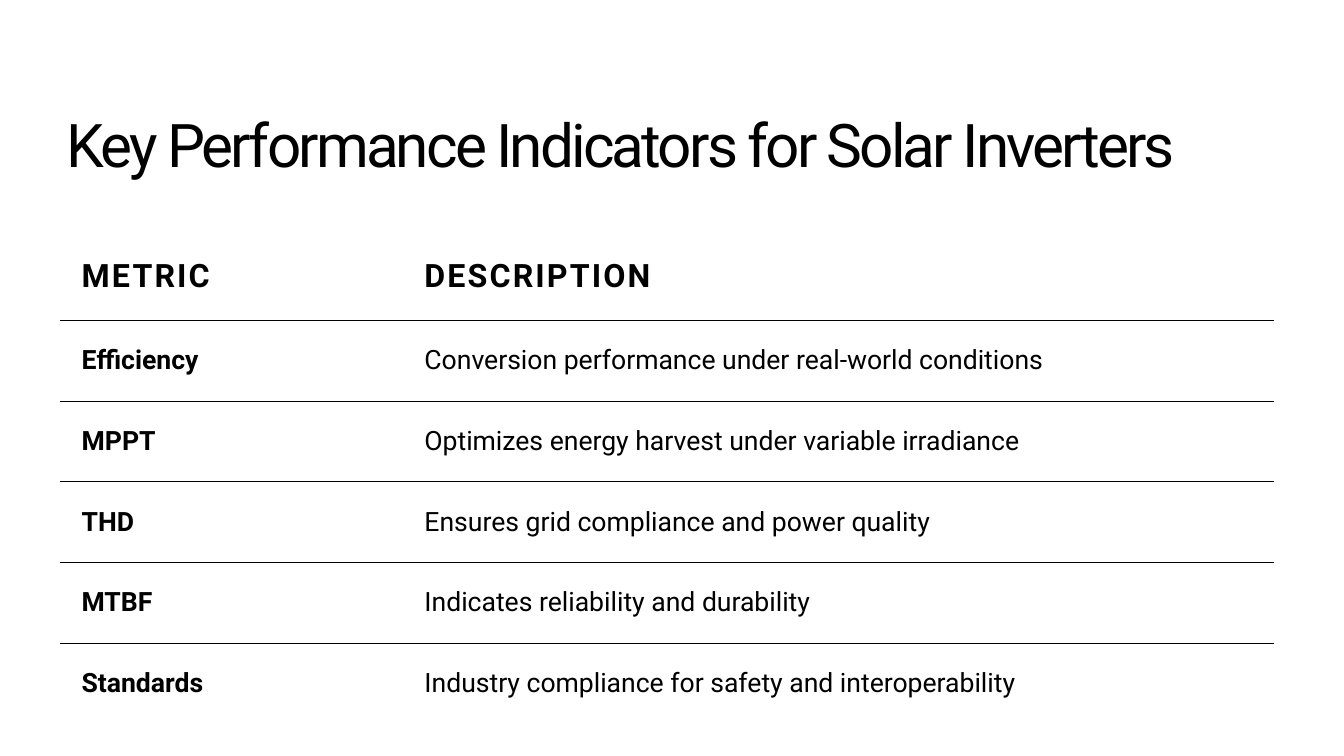
"""Build a slide with a table of key performance indicators for solar inverters."""
from lxml import etree
from pptx import Presentation
from pptx.dml.color import RGBColor
from pptx.enum import text
from pptx.oxml import ns
from pptx.util import Inches, Pt

BLACK = RGBColor(0, 0, 0)
WHITE = RGBColor(255, 255, 255)
FONT = "Roboto"
NO_GRID_STYLE = "{2D5ABB26-0587-4C30-8999-92F81FD0307C}"
CELL_MARGIN = Inches(0.22)
COLUMN_WIDTHS = (3.4, 8.65)
HEADER_HEIGHT = 0.87
ROW_HEIGHT = 0.8
ROWS = (
    ("METRIC", "DESCRIPTION"),
    ("Efficiency", "Conversion performance under real-world conditions"),
    ("MPPT", "Optimizes energy harvest under variable irradiance"),
    ("THD", "Ensures grid compliance and power quality"),
    ("MTBF", "Indicates reliability and durability"),
    ("Standards", "Industry compliance for safety and interoperability"),
)


def format_text(text_frame, size, bold=False, spacing=0):
    """Format every run, with letter spacing in points."""
    for paragraph in text_frame.paragraphs:
        paragraph.alignment = text.PP_ALIGN.LEFT
        for run in paragraph.runs:
            run.font.name = FONT
            run.font.size = Pt(size)
            run.font.bold = bold
            run.font.color.rgb = BLACK
            run._r.get_or_add_rPr().set("spc", str(int(spacing * 100)))


def add_bottom_border(cell):
    """Draw a thin black rule under a cell."""
    border = etree.Element(ns.qn("a:lnB"), w=str(Pt(0.5)))
    fill = etree.SubElement(border, ns.qn("a:solidFill"))
    etree.SubElement(fill, ns.qn("a:srgbClr"), val=str(BLACK))
    cell._tc.get_or_add_tcPr().insert(0, border)


def set_title(slide, title_text):
    """Place and format the title placeholder."""
    title = slide.shapes.title
    title.left, title.top = Inches(0.56), Inches(1.11)
    title.width, title.height = Inches(12.15), Inches(0.93)
    frame = title.text_frame
    frame.text = title_text
    frame.word_wrap = True
    frame.auto_size = text.MSO_AUTO_SIZE.NONE
    frame.vertical_anchor = text.MSO_ANCHOR.TOP
    frame.margin_top = Inches(0.09)
    frame.paragraphs[0].line_spacing = 0.8
    format_text(frame, 43, spacing=-2)


def fill_cell(cell, content, is_header, bold):
    """Write one table cell."""
    cell.fill.background()
    cell.vertical_anchor = text.MSO_ANCHOR.MIDDLE
    cell.margin_left = cell.margin_right = CELL_MARGIN
    cell.margin_top = cell.margin_bottom = CELL_MARGIN
    cell.text_frame.text = content
    if is_header:
        format_text(cell.text_frame, 23, bold=True, spacing=1.5)
    else:
        format_text(cell.text_frame, 19, bold=bold)


def add_metric_table(slide):
    """Add the metrics table with rules between its rows."""
    height = HEADER_HEIGHT + ROW_HEIGHT * (len(ROWS) - 1)
    frame = slide.shapes.add_table(
        len(ROWS), len(COLUMN_WIDTHS), Inches(0.59), Inches(2.31),
        Inches(sum(COLUMN_WIDTHS)), Inches(height))
    table = frame.table
    table.horz_banding = False
    table._tbl.tblPr.find(ns.qn("a:tableStyleId")).text = NO_GRID_STYLE
    for column, width in zip(table.columns, COLUMN_WIDTHS):
        column.width = Inches(width)
    for row_index, contents in enumerate(ROWS):
        is_header = row_index == 0
        table.rows[row_index].height = Inches(HEADER_HEIGHT if is_header else ROW_HEIGHT)
        for column_index, content in enumerate(contents):
            cell = table.cell(row_index, column_index)
            fill_cell(cell, content, is_header, bold=column_index == 0)
            if row_index < len(ROWS) - 1:
                add_bottom_border(cell)


def main():
    """Build and save the presentation."""
    presentation = Presentation()
    presentation.slide_width = Inches(13.33)
    presentation.slide_height = Inches(7.5)
    slide = presentation.slides.add_slide(presentation.slide_layouts[5])
    slide.background.fill.solid()
    slide.background.fill.fore_color.rgb = WHITE
    set_title(slide, "Key Performance Indicators for Solar Inverters")
    add_metric_table(slide)
    presentation.save("out.pptx")


if __name__ == "__main__":
    main()
